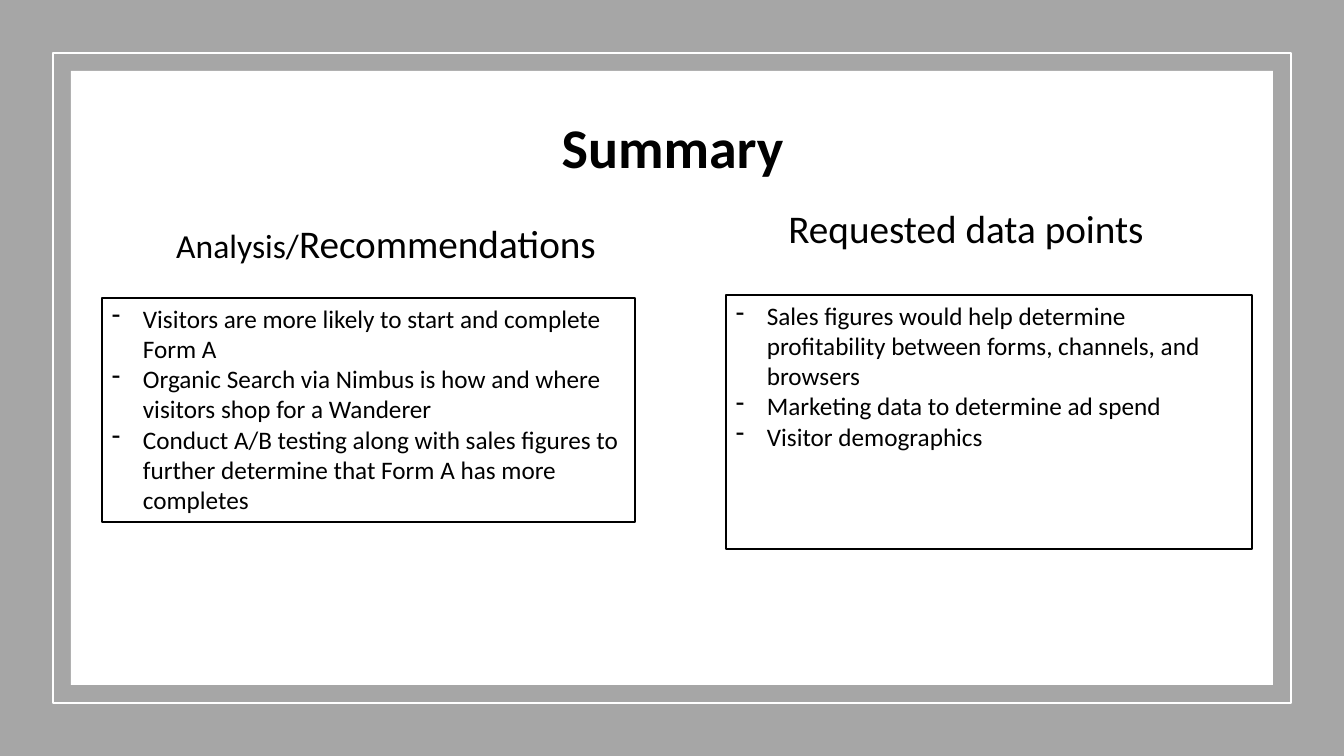
import lxml.etree
import pptx
import pptx.dml.color
import pptx.enum.shapes
import pptx.enum.text
import pptx.oxml.ns
import pptx.util

EMU_PER_PIXEL = 914400 / 100.8
SLIDE_BOX = (0, 0, 1344, 756)
COLORS = {"frame": "A6A6A6", "paper": "FFFFFF", "ink": "000000"}
FONT = "Calibri"
BULLET_INDENT = 31


def emu(pixels):
    return pptx.util.Emu(round(pixels * EMU_PER_PIXEL))


def rgb(name):
    return pptx.dml.color.RGBColor.from_string(COLORS[name])


def add_rectangle(slide, box, fill=None, line=None):
    shape = slide.shapes.add_shape(
        pptx.enum.shapes.MSO_SHAPE.RECTANGLE, *map(emu, box))
    shape.shadow.inherit = False
    if fill:
        shape.fill.solid()
        shape.fill.fore_color.rgb = rgb(fill)
    else:
        shape.fill.background()
    if line:
        shape.line.color.rgb = rgb(line)
        shape.line.width = pptx.util.Pt(1)
    else:
        shape.line.fill.background()
    return shape


def add_dash(paragraph):
    properties = paragraph._p.get_or_add_pPr()
    properties.set("marL", str(emu(BULLET_INDENT)))
    properties.set("indent", str(-emu(BULLET_INDENT)))
    bullet = lxml.etree.SubElement(properties, pptx.oxml.ns.qn("a:buChar"))
    bullet.set("char", "-")


def write_text(shape, paragraphs, align="CENTER", anchor="TOP", bold=False,
               line_spacing=None, space_before=0, dashed=False):
    """Fill a shape with paragraphs, each a list of (text, size) runs."""
    frame = shape.text_frame
    frame.word_wrap = True
    frame.vertical_anchor = getattr(pptx.enum.text.MSO_ANCHOR, anchor)
    for index, runs in enumerate(paragraphs):
        paragraph = frame.add_paragraph() if index else frame.paragraphs[0]
        paragraph.alignment = getattr(pptx.enum.text.PP_ALIGN, align)
        paragraph.line_spacing = line_spacing
        paragraph.space_before = pptx.util.Pt(space_before)
        if dashed:
            add_dash(paragraph)
        for text, size in runs:
            run = paragraph.add_run()
            run.text = text
            run.font.name = FONT
            run.font.size = pptx.util.Pt(size)
            run.font.bold = bold
            run.font.color.rgb = rgb("ink")


def inset(box, margin):
    left, top, width, height = box
    return left + margin, top + margin, width - 2 * margin, height - 2 * margin


def draw_frame(slide, box):
    add_rectangle(slide, box, fill="frame")
    add_rectangle(slide, inset(box, 53), line="paper")
    add_rectangle(slide, inset(box, 71), fill="paper")


def draw_title(slide, box, text):
    title = slide.shapes.add_textbox(*map(emu, box))
    write_text(title, [[(text, 40)]], anchor="BOTTOM", bold=True,
               line_spacing=0.9)


def draw_column(slide, box, heading, heading_width, list_top, points):
    left, top, width, height = box
    # Heading
    heading_box = slide.shapes.add_textbox(
        *map(emu, (left, top, heading_width, 91)))
    write_text(heading_box, [heading], line_spacing=0.9, space_before=10)
    # Outlined list
    list_left = left + heading_width - width if list_top > 80 else left
    panel = add_rectangle(
        slide, (list_left, top + list_top, width, height - list_top), line="ink")
    write_text(panel, [[(point, 18)] for point in points],
               align="LEFT", dashed=True)
    panel.text_frame.auto_size = pptx.enum.text.MSO_AUTO_SIZE.SHAPE_TO_FIT_TEXT


presentation = pptx.Presentation()
presentation.slide_width, presentation.slide_height = map(emu, SLIDE_BOX[2:])
slide = presentation.slides.add_slide(presentation.slide_layouts[6])

draw_frame(slide, SLIDE_BOX)
draw_title(slide, (93, 40, 1159, 146), "Summary")

# Findings
draw_column(
    slide, (102, 220, 533, 302),
    [("Analysis/", 24), ("Recommendations", 28)], 568, 78,
    ["Visitors are more likely to start and complete Form A",
     "Organic Search via Nimbus is how and where visitors shop for a Wanderer",
     "Conduct A/B testing along with sales figures to further determine "
     "that Form A has more completes"])

# Data still needed
draw_column(
    slide, (680, 205, 526, 344),
    [("Requested data points", 28)], 572, 90,
    ["Sales figures would help determine profitability between forms, "
     "channels, and browsers",
     "Marketing data to determine ad spend",
     "Visitor demographics"])

presentation.save("out.pptx")
